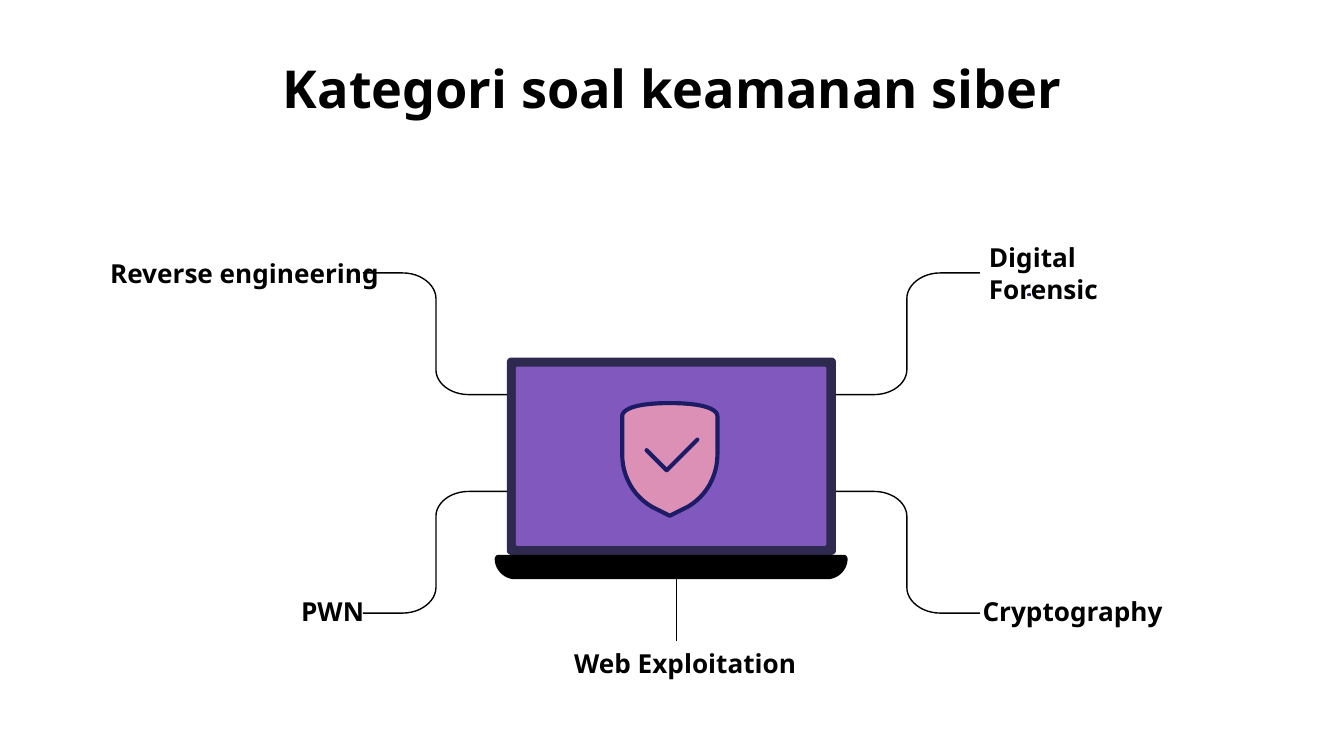
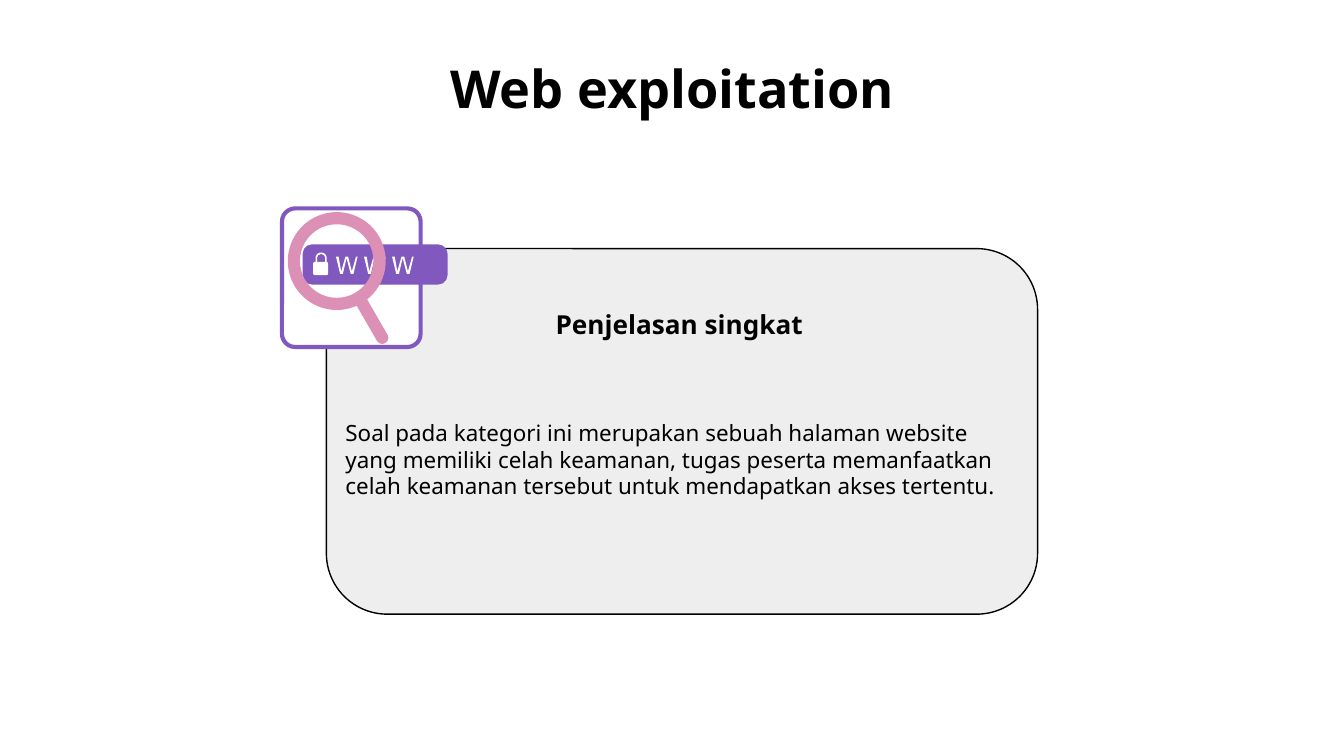
from dataclasses import dataclass

from lxml import etree
from pptx import Presentation
from pptx import util as u
from pptx.dml.color import RGBColor
from pptx.enum import shapes, text
from pptx.oxml import ns

FONT = "Noto Sans"
COLORS = {
    "ink": "000000",
    "paper": "FFFFFF",
    "card": "EEEEEE",
    "lid": "2E294E",
    "purple": "8058BE",
    "pink": "DD90B6",
    "navy": "1C1C66",
}
THIN, THICK = 0.75, 2.2
CURVE_STEPS = 12


@dataclass(frozen=True)
class Label:
    words: str
    left: float
    top: float
    width: float
    height: float
    size: int = 14
    bold: bool = True
    align: text.PP_ALIGN = text.PP_ALIGN.LEFT
    bottom_inset: float = 0.25


@dataclass(frozen=True)
class Panel:
    left: float
    top: float
    width: float
    height: float
    fill: str
    radius: float = 0
    line: str | None = None
    weight: float = THIN
    kind: shapes.MSO_SHAPE = shapes.MSO_SHAPE.ROUNDED_RECTANGLE
    rotation: float = 0


@dataclass(frozen=True)
class Branch:
    x: float
    y: float
    dx: int
    dy: int


LABELS = [
    Label("Reverse engineering", 2.08, 4.88, 5.38, 0.56),
    Label("Digital Forensic", 18.69, 4.88, 3.53, 0.56),
    Label("PWN", 5.69, 11.28, 3.53, 0.56),
    Label("Cryptography", 18.57, 11.28, 3.53, 0.56),
    Label("Web Exploitation", 10.85, 12.12, 4.67, 0.84),
]
BRANCHES = [
    Branch(x, y, dx, dy)
    for y, dy in ((5.16, 1), (11.59, -1))
    for x, dx in ((6.86, 1), (18.52, -1))
]
BRANCH_PATH = [
    (0, 0), (0.75, 0), (1.1, 0, 1.38, 0.23, 1.38, 0.48),
    (1.38, 1.83), (1.38, 2.08, 1.65, 2.3, 2, 2.3), (3.6, 2.3),
]
BASE_PATH = [
    (9.42, 10.49), (9.38, 10.49, 9.35, 10.53, 9.35, 10.57),
    (9.35, 10.77, 9.53, 10.95, 9.73, 10.95), (15.64, 10.95),
    (15.84, 10.95, 16.02, 10.77, 16.02, 10.57),
    (16.02, 10.53, 15.99, 10.49, 15.95, 10.49),
]
SHIELD_PATH = [
    (0, 0), (0.86, 0, 0.9, 0.2, 0.9, 0.25), (0.9, 0.97),
    (0.9, 1.37, 0.7, 1.75, 0.34, 1.96), (0, 2.13), (-0.34, 1.96),
    (-0.7, 1.75, -0.9, 1.37, -0.9, 0.97), (-0.9, 0.25),
    (-0.9, 0.2, -0.86, 0, 0, 0),
]
CHECK_PATH = [(12.22, 8.51), (12.6, 8.89), (13.18, 8.31)]
SHACKLE_PATH = [
    (5.98, 5.02), (5.98, 4.88), (5.98, 4.83, 6.02, 4.79, 6.07, 4.79),
    (6.12, 4.79, 6.16, 4.83, 6.16, 4.88), (6.16, 5.02),
]
W_PATH = [
    (0, 0), (0.08, 0.33), (0.13, 0.33), (0.2, 0.03), (0.28, 0.33),
    (0.33, 0.33), (0.41, 0), (0.38, 0), (0.3, 0.28), (0.23, 0),
    (0.18, 0), (0.1, 0.28), (0.05, 0),
]


def rgb(name: str) -> RGBColor:
    return RGBColor.from_string(COLORS[name])


def paint(sp, fill: str | None, line: str | None, weight: float) -> None:
    sp.shadow.inherit = False
    if fill:
        sp.fill.solid()
        sp.fill.fore_color.rgb = rgb(fill)
    else:
        sp.fill.background()
    if line:
        sp.line.color.rgb = rgb(line)
        sp.line.width = u.Pt(weight)
    else:
        sp.line.fill.background()


def add_run(p, words: str, size: int, bold: bool) -> None:
    r = p.add_run()
    r.text = words
    r.font.name = FONT
    r.font.size = u.Pt(size)
    r.font.bold = bold
    r.font.color.rgb = rgb("ink")


def add_label(s, label: Label) -> None:
    sp = s.shapes.add_textbox(
        u.Cm(label.left), u.Cm(label.top), u.Cm(label.width), u.Cm(label.height))
    tf = sp.text_frame
    tf.word_wrap = True
    tf.vertical_anchor = text.MSO_ANCHOR.MIDDLE
    tf.margin_left = tf.margin_right = 0
    tf.margin_top, tf.margin_bottom = u.Cm(0.25), u.Cm(label.bottom_inset)
    p = tf.paragraphs[0]
    p.alignment = label.align
    add_run(p, label.words, label.size, label.bold)


def add_panel(s, panel: Panel) -> None:
    sp = s.shapes.add_shape(
        panel.kind, u.Cm(panel.left), u.Cm(panel.top),
        u.Cm(panel.width), u.Cm(panel.height))
    if panel.radius:
        sp.adjustments[0] = panel.radius / min(panel.width, panel.height)
    sp.rotation = panel.rotation
    paint(sp, panel.fill, panel.line, panel.weight)


def flatten(path: list[tuple]) -> list[tuple[float, float]]:
    points = [path[0]]
    for step in path[1:]:
        if len(step) == 2:
            points.append(step)
            continue
        knots = [points[-1], step[:2], step[2:4], step[4:]]
        for i in range(1, CURVE_STEPS + 1):
            t = i / CURVE_STEPS
            weights = ((1 - t) ** 3, 3 * t * (1 - t) ** 2, 3 * t * t * (1 - t), t ** 3)
            points.append(tuple(
                sum(w * k[axis] for w, k in zip(weights, knots)) for axis in (0, 1)))
    return points


def add_path(s, path: list[tuple], fill: str | None = None, line: str | None = None,
             weight: float = THIN, x: float = 0, y: float = 0,
             dx: int = 1, dy: int = 1, closed: bool = True):
    points = [(u.Cm(x + dx * px), u.Cm(y + dy * py)) for px, py in flatten(path)]
    builder = s.shapes.build_freeform(*points[0])
    builder.add_line_segments(points[1:], close=closed)
    sp = builder.convert_to_shape()
    paint(sp, fill, line, weight)
    return sp


def round_ends(sp) -> None:
    ln = sp._element.spPr.find(ns.qn("a:ln"))
    ln.set("cap", "rnd")
    etree.SubElement(ln, ns.qn("a:round"))


def add_line(s, x1: float, y1: float, x2: float, y2: float) -> None:
    sp = s.shapes.add_connector(
        shapes.MSO_CONNECTOR.STRAIGHT, u.Cm(x1), u.Cm(y1), u.Cm(x2), u.Cm(y2))
    sp.line.color.rgb = rgb("ink")
    sp.line.width = u.Pt(THIN)
    etree.SubElement(sp._element.spPr, ns.qn("a:effectLst"))


def add_titled_slide(prs, title: str):
    s = prs.slides.add_slide(prs.slide_layouts[5])
    s.background.fill.solid()
    s.background.fill.fore_color.rgb = rgb("paper")
    sp = s.shapes.title
    sp.left, sp.top, sp.width, sp.height = map(u.Cm, (1.27, 0.81, 22.86, 1.6))
    tf = sp.text_frame
    tf.word_wrap = True
    tf.auto_size = text.MSO_AUTO_SIZE.NONE
    tf.vertical_anchor = text.MSO_ANCHOR.TOP
    tf.margin_left = tf.margin_right = tf.margin_top = tf.margin_bottom = u.Cm(0.25)
    p = tf.paragraphs[0]
    p.alignment = text.PP_ALIGN.CENTER
    add_run(p, title, 28, True)
    return s


def add_laptop(s) -> None:
    add_panel(s, Panel(9.58, 6.76, 6.22, 3.73, "lid", 0.08))
    add_path(s, BASE_PATH, "ink")
    add_panel(s, Panel(9.75, 6.93, 5.87, 3.39, "purple", 0.04))
    add_path(s, SHIELD_PATH, "pink", "navy", THICK, x=12.66, y=7.62)
    round_ends(add_path(s, CHECK_PATH, line="navy", weight=THICK, closed=False))


def add_web_icon(s) -> None:
    add_panel(s, Panel(5.33, 3.94, 2.62, 2.62, "paper", 0.25, "purple", THICK))
    add_panel(s, Panel(5.72, 4.62, 2.74, 0.76, "purple", 0.18))
    add_panel(s, Panel(5.92, 4.95, 0.28, 0.25, "paper", 0.03))
    add_path(s, SHACKLE_PATH, line="paper", weight=0.9, closed=False)
    for i in range(3):
        add_path(s, W_PATH, "paper", x=6.35 + 0.53 * i, y=4.85)
    add_panel(s, Panel(5.44, 4.01, 1.85, 1.85, "pink", 0.23,
                       kind=shapes.MSO_SHAPE.DONUT))
    add_panel(s, Panel(6.5, 5.92, 1.04, 0.23, "pink", 0.11, rotation=60))


def build_categories(prs) -> None:
    s = add_titled_slide(prs, "Kategori soal keamanan siber")
    for label in LABELS:
        add_label(s, label)
    for b in BRANCHES:
        add_path(s, BRANCH_PATH, line="ink", x=b.x, y=b.y, dx=b.dx, dy=b.dy,
                 closed=False)
    add_panel(s, Panel(19.41, 5.54, 0.08, 0.06, "lid", kind=shapes.MSO_SHAPE.OVAL))
    add_line(s, 12.79, 10.95, 12.79, 12.12)
    add_laptop(s)


def build_web_exploitation(prs) -> None:
    s = add_titled_slide(prs, "Web exploitation")
    add_panel(s, Panel(6.17, 4.7, 13.44, 6.91, "card", 1.15, "ink"))
    add_label(s, Label("Penjelasan singkat", 6.4, 5.03, 12.88, 2.18,
                       align=text.PP_ALIGN.CENTER))
    add_label(s, Label(
        "Soal pada kategori ini merupakan sebuah halaman website yang memiliki "
        "celah keamanan, tugas peserta memanfaatkan celah keamanan tersebut "
        "untuk mendapatkan akses tertentu.",
        6.53, 7.21, 12.75, 3.45, size=12, bold=False, bottom_inset=0.76))
    add_web_icon(s)


def main() -> None:
    prs = Presentation()
    prs.slide_width, prs.slide_height = u.Cm(25.4), u.Cm(14.29)
    build_categories(prs)
    build_web_exploitation(prs)
    prs.save("out.pptx")


if __name__ == "__main__":
    main()
